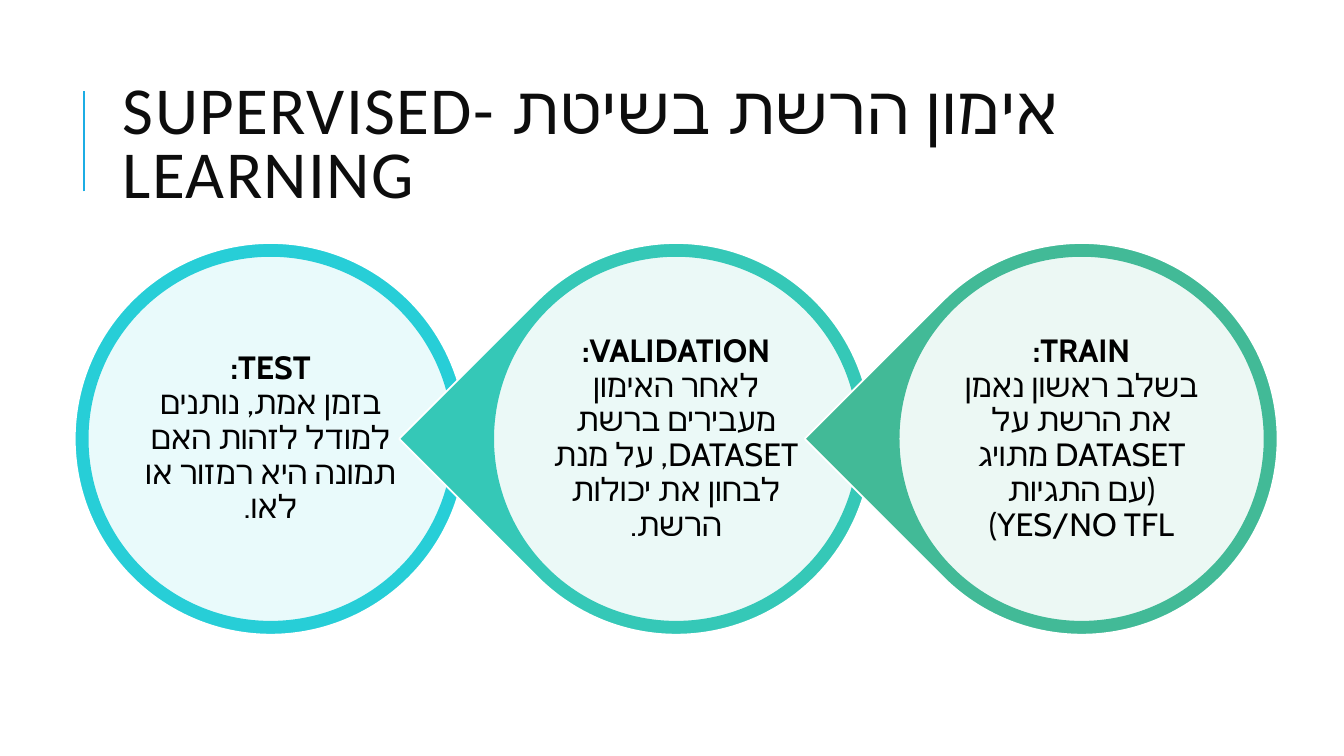
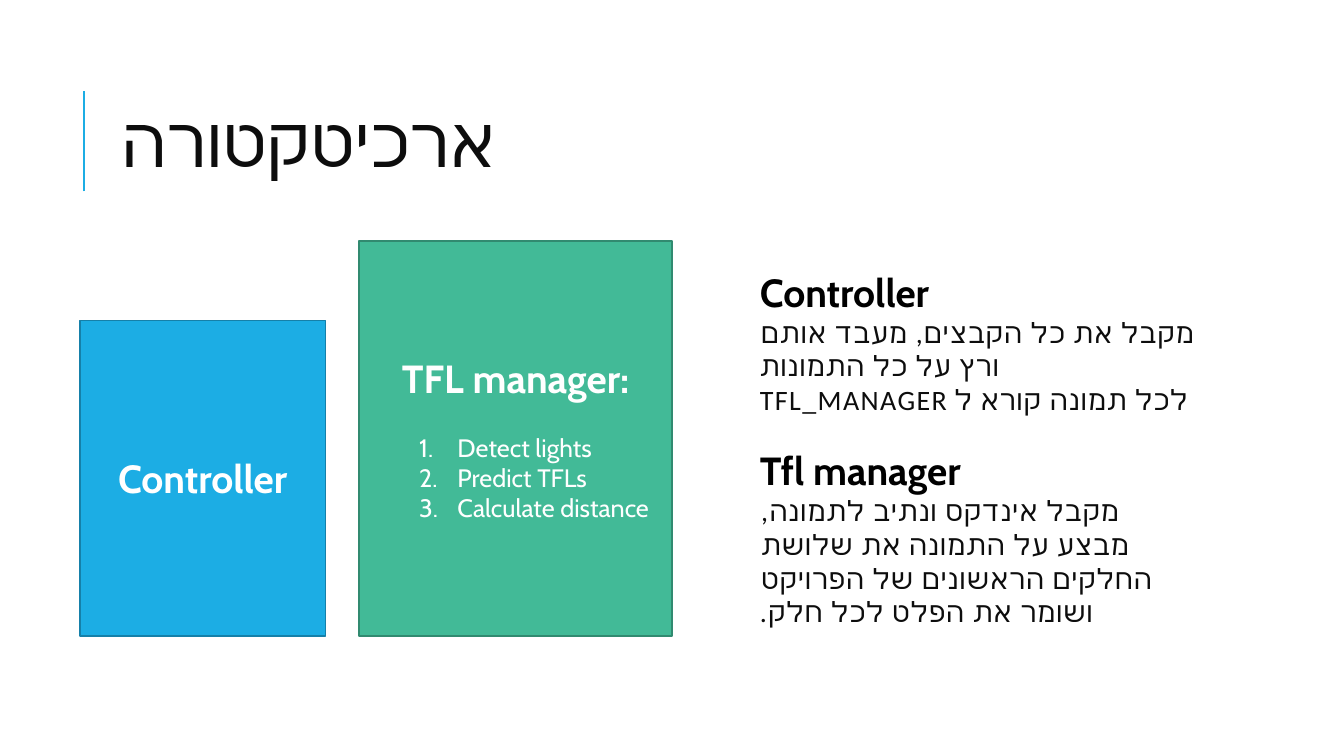
"""Build two slides on supervised training and on architecture."""
from dataclasses import dataclass

from lxml import etree
from pptx import Presentation, util as u
from pptx.dml.color import RGBColor
from pptx.enum import shapes, text
from pptx.oxml.ns import qn


@dataclass(frozen=True)
class Theme:
    ink: str = "0D0D0D"
    black: str = "000000"
    white: str = "FFFFFF"
    blue: str = "1CADE4"
    navy: str = "1580A9"
    cyan: str = "27CED7"
    teal: str = "35C8B7"
    green: str = "42BA97"
    pine: str = "318A70"
    head: str = "Calibri"
    body: str = "Cabin"
    label: int = 28
    ring: int = 23
    note: int = 20
    item: int = 18
    edge: float = 1.25
    rule: float = 1.5


look = Theme()
kinds = shapes.MSO_SHAPE
align = text.PP_ALIGN

deck = Presentation()
deck.slide_width, deck.slide_height = u.Inches(13.33), u.Inches(7.5)
col, row = deck.slide_width / 100, deck.slide_height / 100


def put(page, kind, left, top, width, height, fill, line):
    """Add a filled and outlined shape."""
    shape = page.shapes.add_shape(kind, int(left), int(top), int(width), int(height))
    shape.shadow.inherit = False
    shape.fill.solid()
    shape.fill.fore_color.rgb = RGBColor.from_string(fill)
    shape.line.color.rgb = RGBColor.from_string(line)
    shape.line.width = u.Pt(look.edge)
    shape.text_frame.word_wrap = True
    shape.text_frame.vertical_anchor = text.MSO_ANCHOR.MIDDLE
    return shape


def say(para, words, size, color, face=look.body, bold=False, space=0):
    """Add one run with its font, size and colour."""
    run = para.add_run()
    run.text = words
    run.font.size, run.font.bold, run.font.name = u.Pt(size), bold, face
    run.font.color.rgb = RGBColor.from_string(color)
    props = run._r.get_or_add_rPr()
    props.set("spc", str(space))
    etree.SubElement(props, qn("a:cs"), typeface=face)


pages = []
for words, size, width, rtl in (
    ("אימון הרשת בשיטת SUPERVISED-LEARNING", 48, 83.7, "1"),
    ("ארכיטקטורה", 50, 79.7, "0"),
):
    page = deck.slides.add_slide(deck.slide_layouts[5])
    pages.append(page)
    x = int(6.23 * col)
    rule = page.shapes.add_connector(
        shapes.MSO_CONNECTOR.STRAIGHT, x, int(25.33 * row), x, int(12 * row))
    rule.line.color.rgb = RGBColor.from_string(look.blue)
    rule.line.width = u.Pt(look.rule)
    etree.SubElement(rule._element.spPr, qn("a:effectLst"))
    title = page.shapes.title
    title.left, title.top = int(8.4 * col), int(8.53 * row)
    title.width, title.height = int(width * col), int(21.87 * row)
    frame = title.text_frame
    frame.auto_size = text.MSO_AUTO_SIZE.NONE
    frame.word_wrap = True
    frame.vertical_anchor = text.MSO_ANCHOR.MIDDLE
    para = frame.paragraphs[0]
    para.alignment, para.line_spacing = align.LEFT, 0.8
    para._p.get_or_add_pPr().set("rtl", rtl)
    say(para, words, size, look.ink, look.head, space=100)

train, plan = pages

steps = (
    ("TEST:", "בזמן אמת, נותנים למודל לזהות האם תמונה היא רמזור או לאו.",
     look.cyan, kinds.OVAL),
    ("VALIDATION:", "לאחר האימון מעבירים ברשת DATASET, על מנת לבחון את יכולות הרשת.",
     look.teal, kinds.TEAR),
    ("TRAIN:", "בשלב ראשון נאמן את הרשת על DATASET מתויג (עם התגיות YES/NO TFL)",
     look.green, kinds.TEAR),
)
outer, inner = 29.15 * col, 27.23 * col
for i, (name, words, color, kind) in enumerate(steps):
    mid, axis = (20.14 + 30.17 * i) * col, 58.05 * row
    ring = put(train, kind, mid - outer / 2, axis - outer / 2, outer, outer,
               color, look.white)
    if kind == kinds.TEAR:
        ring.adjustments[0] = 1
        ring.rotation = 225
    disc = put(train, kinds.OVAL, mid - inner / 2, axis - inner / 2, inner, inner,
               look.white, color)
    tint = disc._element.spPr.find(".//" + qn("a:srgbClr"))
    etree.SubElement(tint, qn("a:alpha"), val="90000")
    frame = disc.text_frame
    frame.margin_left = frame.margin_right = u.Inches(0.02)
    frame.margin_top = frame.margin_bottom = u.Inches(0.02)
    para = frame.paragraphs[0]
    para.alignment, para.line_spacing = align.CENTER, 0.9
    para._p.get_or_add_pPr().set("rtl", "1")
    say(para, name, look.ring, look.black, bold=True)
    para.add_line_break()
    say(para, words, look.ring, look.black)

base = 84.13
for name, left, top, width, fill, line, items in (
    ("Controller", 5.93, 42.4, 18.3, look.blue, look.navy, ()),
    ("TFL manager:", 26.7, 31.87, 23.33, look.green, look.pine,
     ("Detect lights", "Predict TFLs", "Calculate distance")),
):
    block = put(plan, kinds.RECTANGLE, left * col, top * row, width * col,
                (base - top) * row, fill, line)
    para = block.text_frame.paragraphs[0]
    para.alignment = align.CENTER
    say(para, name, look.label, look.white, bold=True)
    for i, item in enumerate(items):
        para = block.text_frame.add_paragraph()
        para.alignment = align.LEFT
        props = para._p.get_or_add_pPr()
        props.set("marL", str(u.Inches(0.88)))
        props.set("indent", str(u.Inches(-0.38)))
        etree.SubElement(props, qn("a:buAutoNum"), type="arabicPeriod")
        para.space_before = u.Pt(0 if i else 22)
        say(para, item, look.item, look.white)

notes = plan.shapes.add_textbox(
    int(55.8 * col), int(34.8 * row), int(35.1 * col), int(49.33 * row))
frame = notes.text_frame
frame.word_wrap = True
for i, (name, words, gap) in enumerate((
    ("Controller", "מקבל את כל הקבצים, מעבד אותם ורץ על כל התמונות", 0),
    ("", "לכל תמונה קורא ל TFL_MANAGER", 0),
    ("Tfl manager", "מקבל אינדקס ונתיב לתמונה, מבצע על התמונה את שלושת החלקים "
     "הראשונים של הפרויקט ושומר את הפלט לכל חלק.", 22),
)):
    para = frame.add_paragraph() if i else frame.paragraphs[0]
    para.alignment, para.space_before = align.LEFT, u.Pt(gap)
    props = para._p.get_or_add_pPr()
    props.set("rtl", "1")
    props.set("marL", str(u.Inches(0.15)))
    props.set("indent", "0")
    if name:
        say(para, name, look.label, look.black, bold=True)
        para.add_line_break()
    say(para, words, look.note, look.ink, look.head, space=100)

deck.save("out.pptx")
